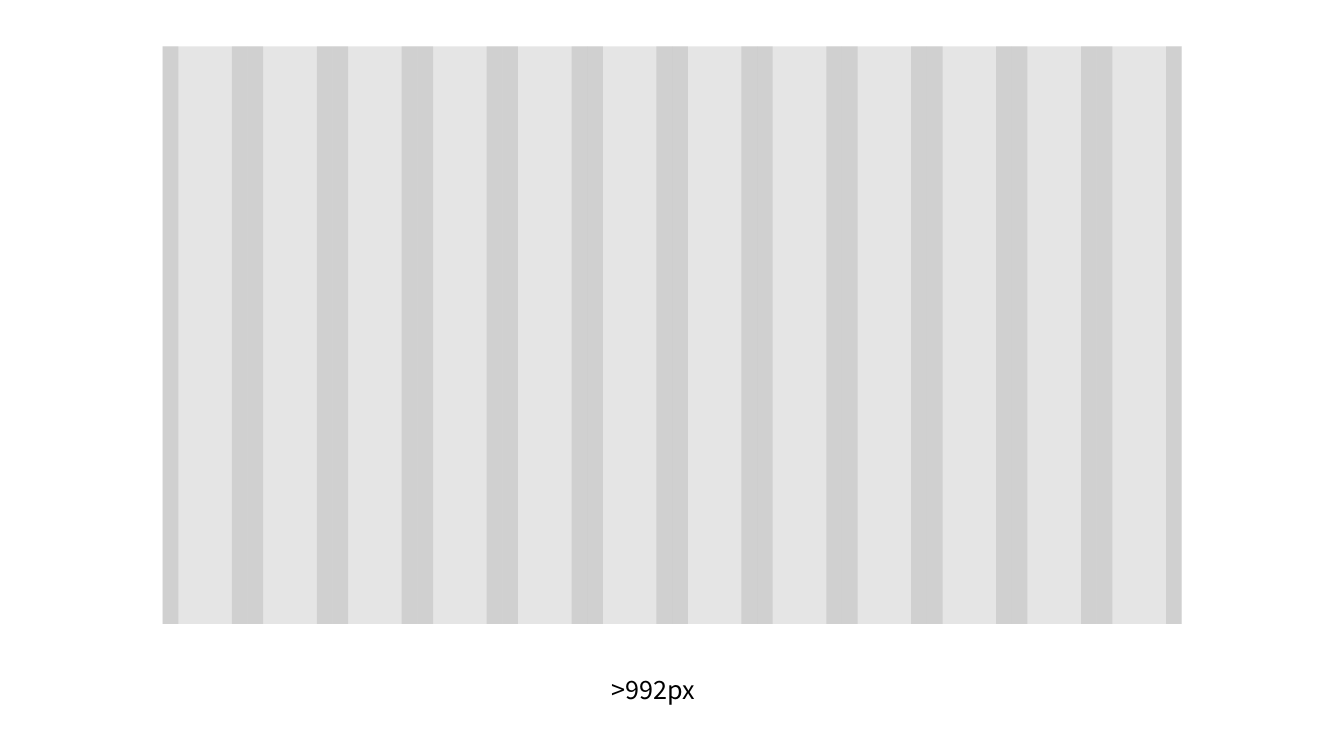
from pptx import Presentation
from pptx.dml.color import RGBColor
from pptx.enum.shapes import MSO_SHAPE as Shape
from pptx.enum.text import MSO_AUTO_SIZE as Fit
from pptx.oxml.ns import qn
from pptx.util import Cm, Pt
from lxml.etree import SubElement

LABEL = ">992px"
FONT = "Noto Sans CJK KR"
COLORS = {"column": "BEBEBE", "gutter": "B2B2B2", "text": "000000"}
ALPHA = 40
COUNT = 12
LEFT, TOP, HIGH = 4.1, 1.17, 14.55
PITCH, GUTTER = 2.14, 0.79


def add_band(group, left, width, color):
    """Add one translucent full-height band to the grid."""
    band = group.shapes.add_shape(
        Shape.RECTANGLE, Cm(left), Cm(TOP), Cm(width), Cm(HIGH))
    band.shadow.inherit = False
    band.line.fill.background()
    band.fill.solid()
    band.fill.fore_color.rgb = RGBColor.from_string(COLORS[color])
    tint = next(band.fill._xPr.iter(qn("a:srgbClr")))
    SubElement(tint, qn("a:alpha")).set("val", str(ALPHA * 1000))


def add_grid(slide):
    """Draw the columns, then the gutters centred on their edges."""
    group = slide.shapes.add_group_shape()
    for i in range(COUNT):
        add_band(group, LEFT + i * PITCH, PITCH, "column")
    right = LEFT + COUNT * PITCH
    for i in range(COUNT + 1):
        edge = LEFT + i * PITCH
        start = max(LEFT, edge - GUTTER / 2)
        end = min(right, edge + GUTTER / 2)
        add_band(group, start, end - start, "gutter")


def add_label(slide):
    """Write the screen width below the grid."""
    box = slide.shapes.add_textbox(Cm(15.16), Cm(16.87), Cm(2.69), Cm(1.02))
    frame = box.text_frame
    frame.word_wrap = False
    frame.auto_size = Fit.SHAPE_TO_FIT_TEXT
    frame.text = LABEL
    font = frame.paragraphs[0].font
    font.name, font.size = FONT, Pt(18)
    font.color.rgb = RGBColor.from_string(COLORS["text"])


deck = Presentation()
deck.slide_width, deck.slide_height = Cm(33.87), Cm(19.05)
slide = deck.slides.add_slide(deck.slide_layouts[6])
add_label(slide)
add_grid(slide)
deck.save("out.pptx")
